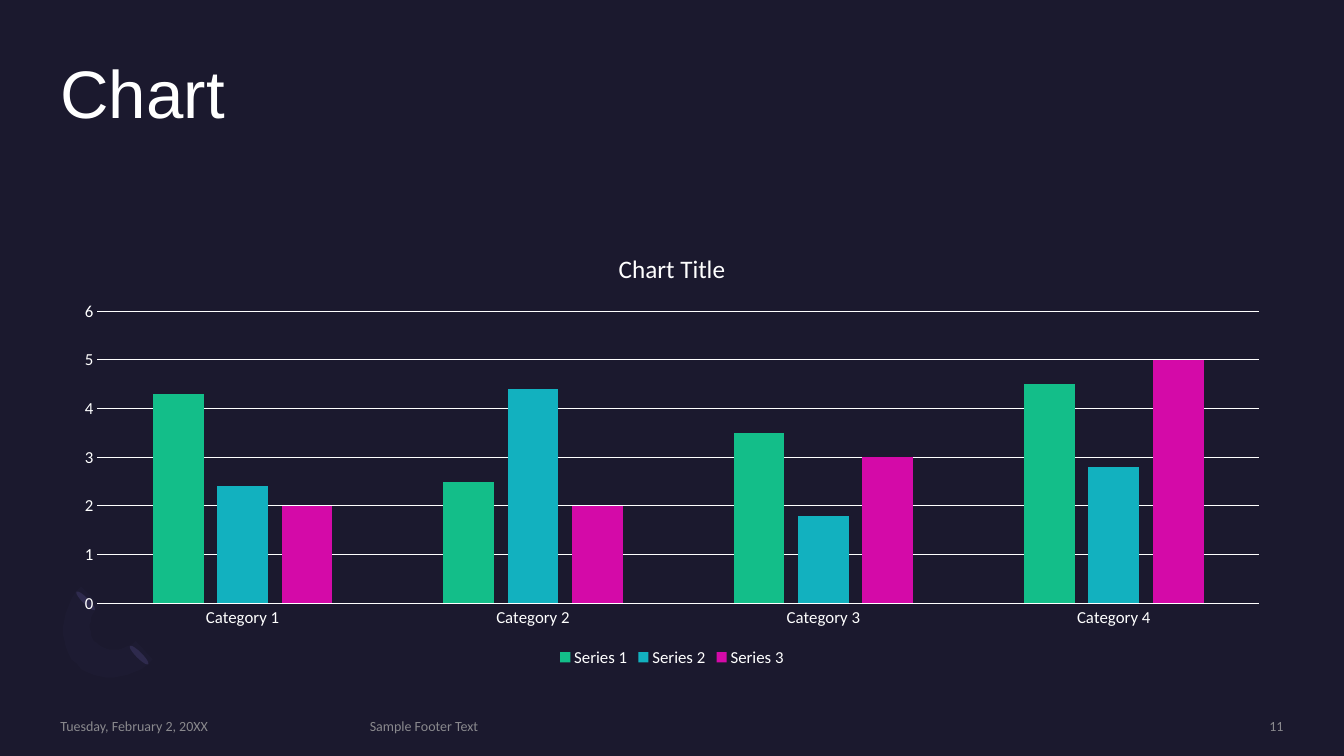
from lxml import etree
from pptx import Presentation
from pptx.chart.data import CategoryChartData
from pptx.dml.color import RGBColor
from pptx.enum import chart as ch, shapes, text
from pptx.oxml.ns import qn
from pptx.util import Pt

COLOURS = {
    "background": "1B192E", "white": "FFFFFF", "footer": "A6A6A6",
    "petal": "2C284A", "crescent": "7771B2",
    "Series 1": "13BE89", "Series 2": "12B1BF", "Series 3": "D40AA8",
}
SERIES = {
    "Series 1": (4.3, 2.5, 3.5, 4.5),
    "Series 2": (2.4, 4.4, 1.8, 2.8),
    "Series 3": (2, 2, 3, 5),
}
LEFT, WIDTH = 43.2, 873.6


def colour(name):
    return RGBColor.from_string(COLOURS[name])


def paint(fill, name, opacity=100):
    fill.solid()
    fill.fore_color.rgb = colour(name)
    if opacity < 100:
        srgb = next(fill._xPr.iter(qn("a:srgbClr")))
        etree.SubElement(srgb, qn("a:alpha")).set("val", str(opacity * 1000))


def style_font(font, size, name="white", face="Calibri", opacity=100):
    font.size, font.name, font.bold = Pt(size), face, False
    paint(font.fill, name, opacity)


def prepare_frame(frame, anchor):
    frame.margin_left = frame.margin_right = frame.margin_top = frame.margin_bottom = 0
    frame.word_wrap = True
    frame.auto_size = text.MSO_AUTO_SIZE.NONE
    frame.vertical_anchor = anchor


def place(shape, left, top, width, height):
    shape.left, shape.top = Pt(left), Pt(top)
    shape.width, shape.height = Pt(width), Pt(height)


def finish_ornament(shape, name, opacity=100):
    shape.shadow.inherit = False
    paint(shape.fill, name, opacity)
    shape.line.fill.background()


def add_petal(slide, left, top):
    petal = slide.shapes.add_shape(
        shapes.MSO_SHAPE.OVAL, Pt(left), Pt(top), Pt(4.3), Pt(18.7))
    petal.rotation = 135
    finish_ornament(petal, "petal")


def curve(start, control1, control2, end, steps=12):
    """Points along a cubic curve, both ends included."""
    weights = [((1 - t) ** 3, 3 * t * (1 - t) ** 2, 3 * t * t * (1 - t), t ** 3)
               for t in (i / steps for i in range(steps + 1))]
    knots = (start, control1, control2, end)
    return [tuple(sum(w * k[axis] for w, k in zip(ws, knots)) for axis in (0, 1))
            for ws in weights]


def add_crescent(slide):
    outline = (
        curve((54.7, 474.5), (40.3, 460.1), (41.8, 435.6), (58.3, 419))
        + curve((71.3, 432), (62.6, 440), (62, 453), (69.1, 459.4))
        + curve((69.1, 459.4), (76.3, 466.6), (88.6, 465.8), (97.2, 457.9))
        + curve((109.4, 470.9), (93.6, 486.7), (68.4, 488.9), (54.7, 474.5)))
    builder = slide.shapes.build_freeform(*outline[0], scale=Pt(1))
    builder.add_line_segments(outline[1:], close=True)
    finish_ornament(builder.convert_to_shape(), "crescent", opacity=3)


def add_title(slide, wording):
    title = slide.shapes.title
    place(title, LEFT, 43.2, WIDTH, 105.1)
    prepare_frame(title.text_frame, text.MSO_ANCHOR.TOP)
    line = title.text_frame.paragraphs[0]
    line.alignment, line.line_spacing = text.PP_ALIGN.LEFT, 0.9
    run = line.add_run()
    run.text = wording
    style_font(run.font, 48, face="Arial")


def add_footer(slide, wording, left, width, align=text.PP_ALIGN.LEFT):
    box = slide.shapes.add_textbox(Pt(left), Pt(512.6), Pt(width), Pt(12.2))
    prepare_frame(box.text_frame, text.MSO_ANCHOR.MIDDLE)
    line = box.text_frame.paragraphs[0]
    line.alignment = align
    run = line.add_run()
    run.text = wording
    style_font(run.font, 10, "footer", opacity=80)


def style_line(line):
    line.width = Pt(0.75)
    paint(line.fill, "white")


def add_column_chart(slide):
    data = CategoryChartData()
    data.categories = [f"Category {n}" for n in range(1, 5)]
    for name, values in SERIES.items():
        data.add_series(name, values)
    chart = slide.shapes.add_chart(
        ch.XL_CHART_TYPE.COLUMN_CLUSTERED,
        Pt(LEFT), Pt(166.3), Pt(WIDTH), Pt(313.2), data).chart
    style_font(chart.font, 10)

    # Title and legend
    chart.has_title = True
    heading = chart.chart_title.text_frame.paragraphs[0].add_run()
    heading.text = "Chart Title"
    style_font(heading.font, 18)
    chart.chart_title.include_in_layout = False
    chart.has_legend = True
    chart.legend.position = ch.XL_LEGEND_POSITION.BOTTOM
    chart.legend.include_in_layout = False
    style_font(chart.legend.font, 12)

    # Axes
    for axis in (chart.category_axis, chart.value_axis):
        axis.major_tick_mark = axis.minor_tick_mark = ch.XL_TICK_MARK.NONE
        style_font(axis.tick_labels.font, 12)
    style_line(chart.category_axis.format.line)
    scale = chart.value_axis
    scale.minimum_scale, scale.maximum_scale, scale.major_unit = 0, 6, 1
    scale.format.line.fill.background()
    scale.has_major_gridlines = True
    style_line(scale.major_gridlines.format.line)

    # Columns
    plot = chart.plots[0]
    plot.vary_by_categories = False
    plot.gap_width, plot.overlap = 219, -27
    for series in plot.series:
        series.invert_if_negative = False
        paint(series.format.fill, series.name)


def main():
    deck = Presentation()
    deck.slide_width, deck.slide_height = Pt(960), Pt(540)
    slide = deck.slides.add_slide(deck.slide_layouts[5])
    paint(slide.background.fill, "background")

    # Corner ornament
    add_petal(slide, 97.2, 458.6)
    add_petal(slide, 59, 419.8)
    add_crescent(slide)

    # Content
    add_title(slide, "Chart")
    add_column_chart(slide)

    # Footer
    add_footer(slide, "Tuesday, February 2, 20XX", LEFT, 207.4)
    add_footer(slide, "Sample Footer Text", 264.2, 502.6)
    add_footer(slide, "11", 783.4, 133.4, text.PP_ALIGN.RIGHT)

    deck.save("out.pptx")


main()
